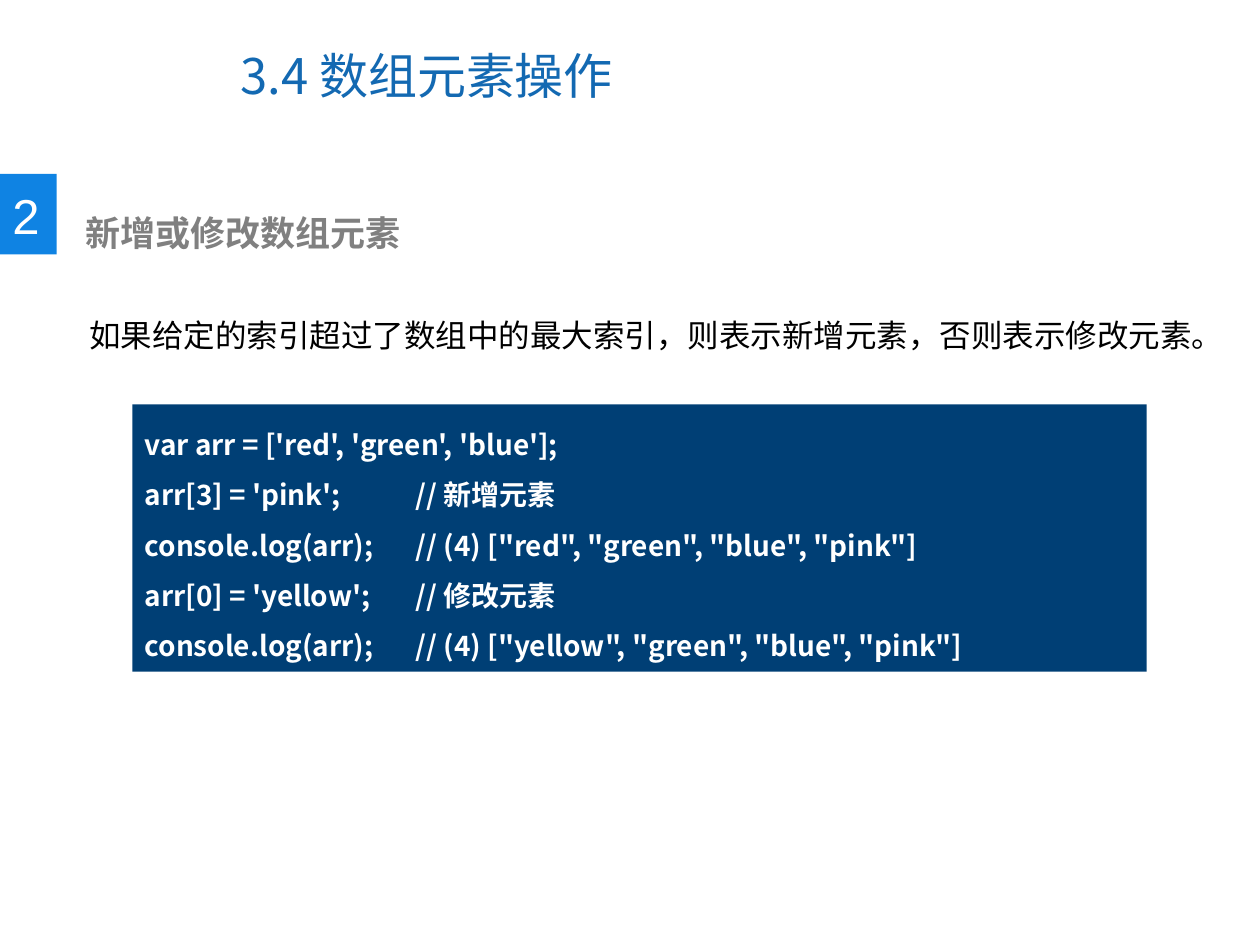
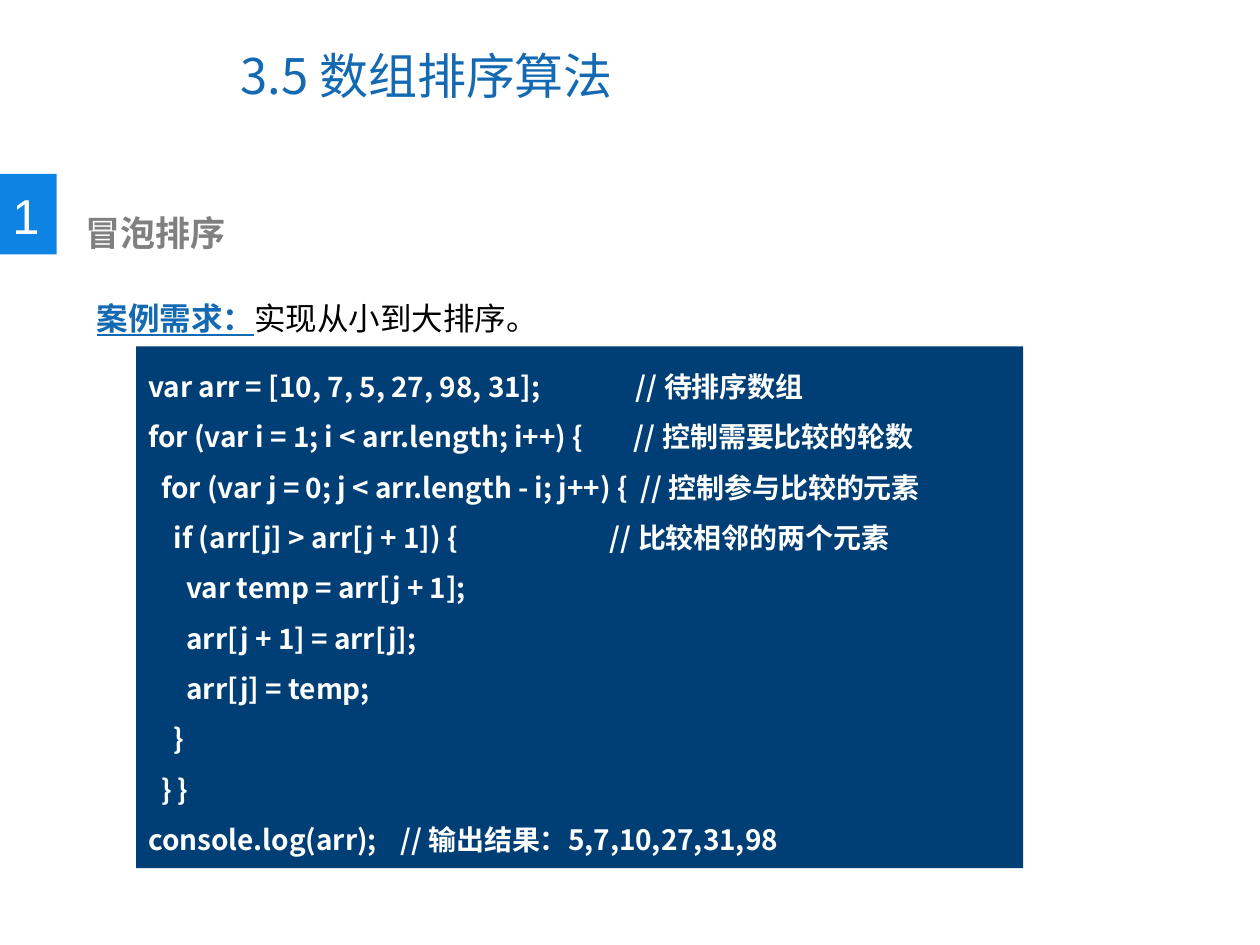
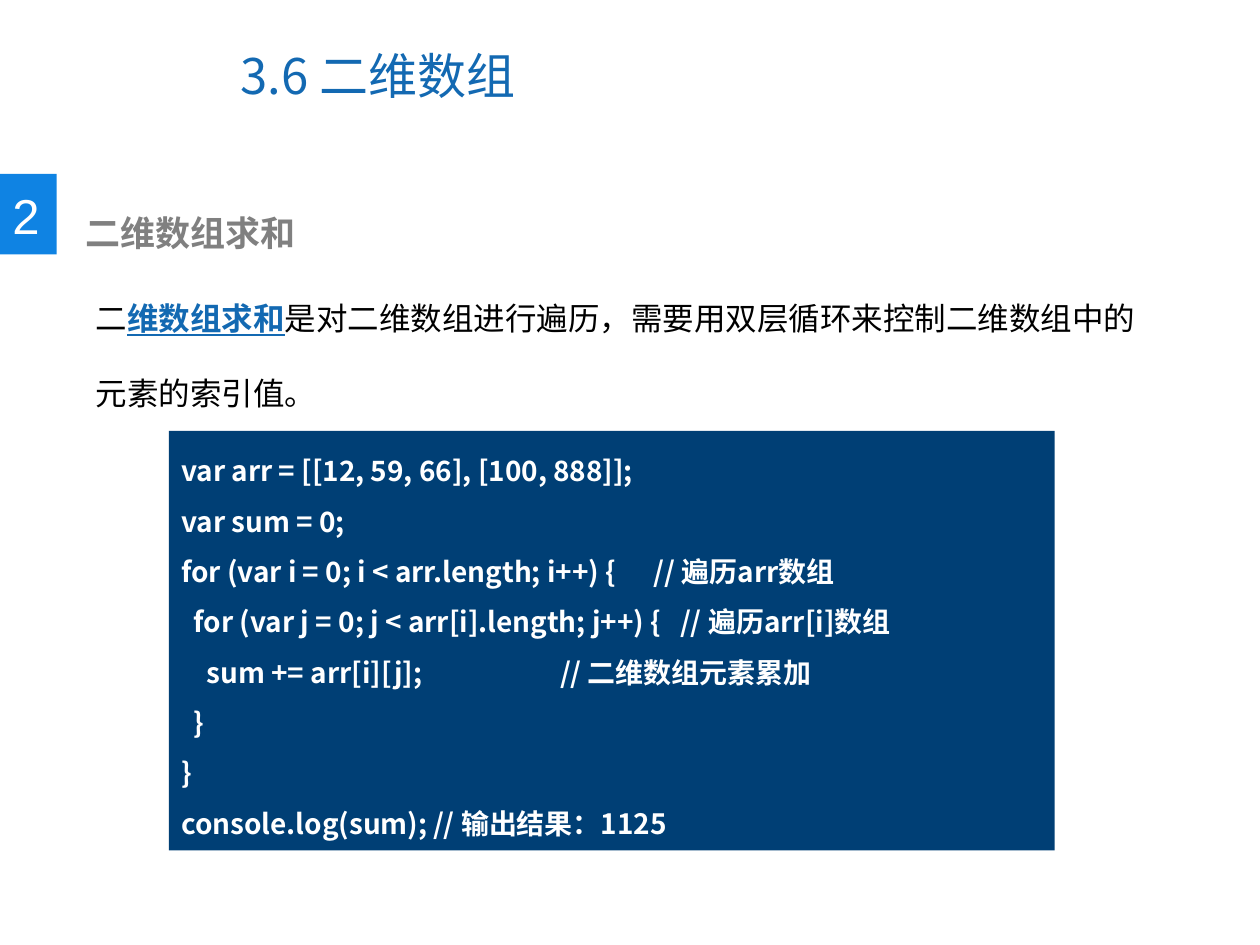
import pptx
import pptx.dml.color
import pptx.enum.shapes
import pptx.enum.text
import pptx.oxml
import pptx.oxml.ns
import pptx.util
from pptx.util import Inches

COLORS = {
    "title": "1369B2",
    "badge": "0F83E3",
    "heading": "808080",
    "code": "003F75",
    "body": "000000",
    "light": "FFFFFF",
}
CJK_FONT = "Noto Sans CJK SC"
LATIN_FONT = "Arial"

# Body and code give the box as left, top, width, height.
# Body runs are pairs of text and whether it is a key term.
LESSONS = [
    {
        "title": "3.4 数组元素操作",
        "number": "2",
        "heading": "新增或修改数组元素",
        "body_box": (0.61, 2.16, 9.38, 0.71),
        "body": [("如果给定的索引超过了数组中的最大索引，则表示新增元素，否则表示修改元素。", False)],
        "code_box": (1.05, 3.21, 8.05, 2.12),
        "code": """var arr = ['red', 'green', 'blue'];
arr[3] = 'pink';\t   // 新增元素
console.log(arr);\t   // (4) ["red", "green", "blue", "pink"]
arr[0] = 'yellow';\t   // 修改元素
console.log(arr);\t   // (4) ["yellow", "green", "blue", "pink"]""",
    },
    {
        "title": "3.5 数组排序算法",
        "number": "1",
        "heading": "冒泡排序",
        "body_box": (0.67, 2.02, 8.65, 0.71),
        "body": [("案例需求：", True), ("实现从小到大排序。", False)],
        "code_box": (1.08, 2.75, 7.04, 4.14),
        "code": """var arr = [10, 7, 5, 27, 98, 31];               // 待排序数组
for (var i = 1; i < arr.length; i++) {        // 控制需要比较的轮数
  for (var j = 0; j < arr.length - i; j++) {  // 控制参与比较的元素
    if (arr[j] > arr[j + 1]) {                        // 比较相邻的两个元素
      var temp = arr[j + 1];
      arr[j + 1] = arr[j];
      arr[j] = temp;
    }
  } }
console.log(arr);\t// 输出结果：5,7,10,27,31,98""",
    },
    {
        "title": "3.6 二维数组",
        "number": "2",
        "heading": "二维数组求和",
        "body_box": (0.66, 2.02, 8.65, 1.31),
        "body": [
            ("二", False),
            ("维数组求和", True),
            ("是对二维数组进行遍历，需要用双层循环来控制二维数组中的元素的索引值。", False),
        ],
        "code_box": (1.34, 3.42, 7.03, 3.33),
        "code": """var arr = [[12, 59, 66], [100, 888]];
var sum = 0;
for (var i = 0; i < arr.length; i++) {\t     // 遍历arr数组
  for (var j = 0; j < arr[i].length; j++) {   // 遍历arr[i]数组
    sum += arr[i][j];\t                    // 二维数组元素累加
  }
}
console.log(sum);\t// 输出结果：1125""",
    },
]


def style_run(run, size, color, font=LATIN_FONT, bold=False, underline=False):
    run.font.size = pptx.util.Pt(size)
    run.font.color.rgb = pptx.dml.color.RGBColor.from_string(COLORS[color])
    run.font.name = font
    run.font.bold = bold
    run.font.underline = underline
    east_asian = pptx.oxml.parse_xml(
        f'<a:ea {pptx.oxml.ns.nsdecls("a")} typeface="{CJK_FONT}"/>'
    )
    run.font._element.find(pptx.oxml.ns.qn("a:latin")).addnext(east_asian)


def add_box(slide, box, fill=None, wrap=True):
    lengths = [Inches(length) for length in box]
    if fill:
        shape = slide.shapes.add_shape(pptx.enum.shapes.MSO_SHAPE.RECTANGLE, *lengths)
        shape.shadow.inherit = False
        shape.fill.solid()
        shape.fill.fore_color.rgb = pptx.dml.color.RGBColor.from_string(COLORS[fill])
        shape.line.fill.background()
    else:
        shape = slide.shapes.add_textbox(*lengths)
    shape.text_frame.word_wrap = wrap
    shape.text_frame.vertical_anchor = pptx.enum.text.MSO_ANCHOR.TOP
    return shape


presentation = pptx.Presentation()
presentation.slide_width = Inches(10)
presentation.slide_height = Inches(7.5)

for lesson in LESSONS:
    slide = presentation.slides.add_slide(presentation.slide_layouts[6])

    # Title
    title = add_box(slide, (1.81, 0.17, 5.16, 0.85))
    title.text_frame.vertical_anchor = pptx.enum.text.MSO_ANCHOR.MIDDLE
    title.text_frame.text = lesson["title"]
    style_run(title.text_frame.paragraphs[0].runs[0], 28, "title", CJK_FONT)

    # Section number and heading
    add_box(slide, (0, 1.38, 0.45, 0.64), fill="badge")
    number = add_box(slide, (0, 1.42, 0.42, 0.57), wrap=False)
    number.text_frame.text = lesson["number"]
    style_run(number.text_frame.paragraphs[0].runs[0], 28, "light")
    heading = add_box(slide, (0.58, 1.63, 5.03, 0.44))
    heading.text_frame.text = lesson["heading"]
    style_run(heading.text_frame.paragraphs[0].runs[0], 20, "heading", bold=True)

    # Explanation
    body = add_box(slide, lesson["body_box"])
    paragraph = body.text_frame.paragraphs[0]
    paragraph.line_spacing = 2.0
    for text, is_term in lesson["body"]:
        run = paragraph.add_run()
        run.text = text
        style_run(run, 18, "title" if is_term else "body", bold=is_term, underline=is_term)

    # Code listing
    code = add_box(slide, lesson["code_box"], fill="code")
    code.text_frame.text = lesson["code"]
    for paragraph in code.text_frame.paragraphs:
        paragraph.alignment = pptx.enum.text.PP_ALIGN.LEFT
        paragraph.line_spacing = 1.5
        style_run(paragraph.runs[0], 16, "light", CJK_FONT, bold=True)

presentation.save("out.pptx")
